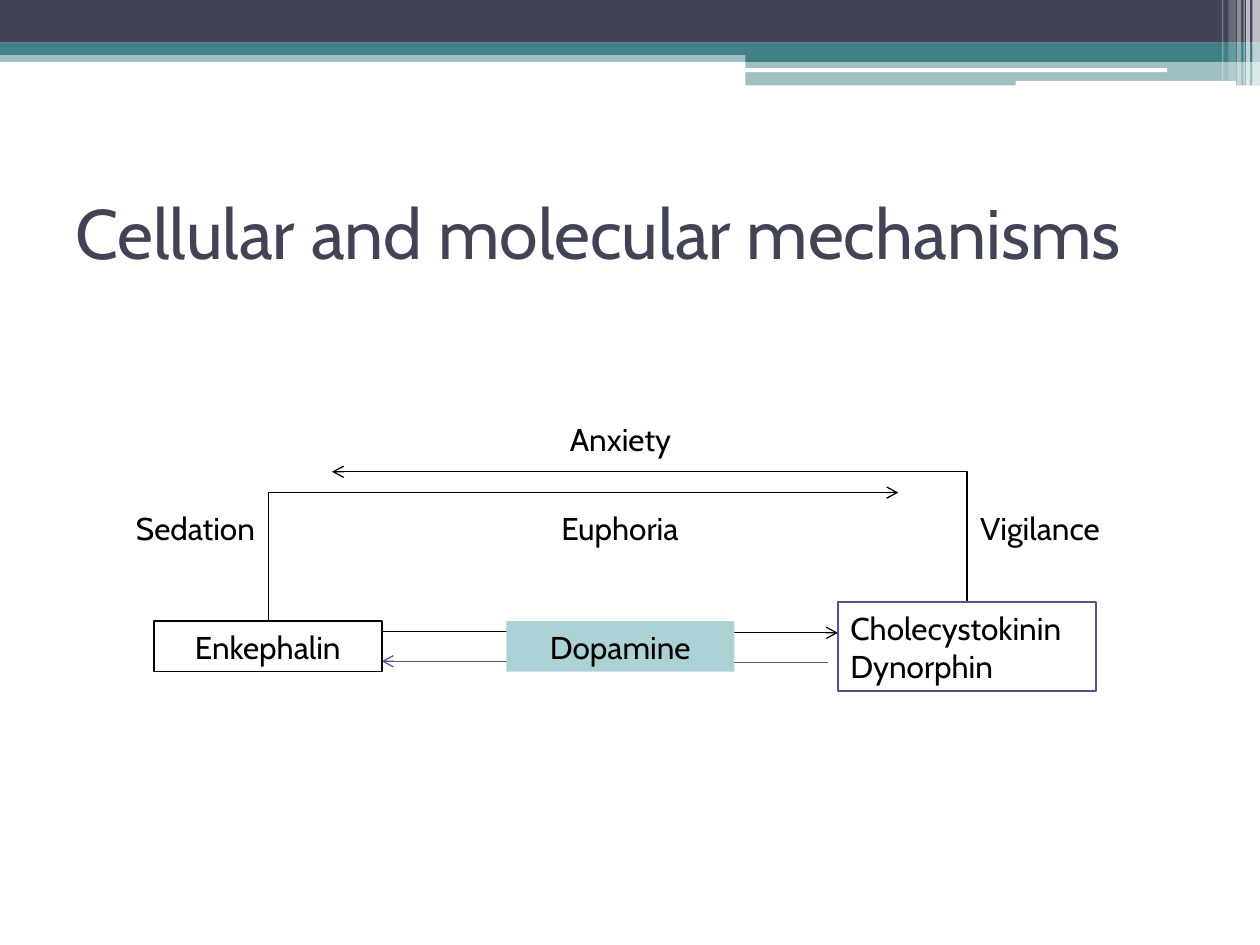
import pptx
import pptx.util
import pptx.dml.color
import pptx.enum.shapes
import pptx.enum.text
import pptx.oxml.ns
import lxml.etree

Pt = pptx.util.Pt
Color = pptx.dml.color.RGBColor.from_string
Shapes = pptx.enum.shapes.MSO_SHAPE
Align = pptx.enum.text.PP_ALIGN
Anchor = pptx.enum.text.MSO_ANCHOR
qn = pptx.oxml.ns.qn

theme = {
    "font": "Cabin", "title_size": 40, "body_size": 18,
    "navy": "424456", "teal": "438086", "white": "FFFFFF",
    "black": "000000", "violet": "53548A", "pale": "ADD2D6",
}

presentation = pptx.Presentation()
presentation.slide_width, presentation.slide_height = Pt(720), Pt(540)
slide = presentation.slides.add_slide(presentation.slide_layouts[6])


def add_block(kind, box, fill=None, opacity=100, line=None):
    shape = slide.shapes.add_shape(kind, *map(Pt, box))
    shape.shadow.inherit = False
    if fill:
        shape.fill.solid()
        shape.fill.fore_color.rgb = Color(theme[fill])
        if opacity < 100:
            color = shape.element.spPr.find(qn("a:solidFill"))[0]
            lxml.etree.SubElement(color, qn("a:alpha"), val=str(opacity * 1000))
    else:
        shape.fill.background()
    if line:
        shape.line.color.rgb = Color(theme[line])
        shape.line.width = Pt(1)
    else:
        shape.line.fill.background()
    return shape


def write_text(shape, lines, align, size="body_size", color="black"):
    frame = shape.text_frame
    frame.text = "\n".join(lines)
    settings = {"word_wrap": True, "vertical_anchor": Anchor.MIDDLE}
    for name, value in settings.items():
        setattr(frame, name, value)
    for paragraph in frame.paragraphs:
        paragraph.alignment = align
        font = paragraph.runs[0].font
        for name, value in {"name": theme["font"], "size": Pt(theme[size])}.items():
            setattr(font, name, value)
        font.color.rgb = Color(theme[color])


banner = [
    (Shapes.RECTANGLE, (0, 28.8, 720, 6.6), "teal", 50),
    (Shapes.RECTANGLE, (0, 0, 720, 24.4), "navy", 100),
    (Shapes.RECTANGLE, (0, 24.2, 720, 7.2), "teal", 100),
    (Shapes.RECTANGLE, (426, 28.2, 294, 7.2), "teal", 100),
    (Shapes.RECTANGLE, (426, 34.6, 294, 14.2), "teal", 50),
    (Shapes.ROUNDED_RECTANGLE, (425.7, 39, 241.2, 2.2), "white", 100),
    (Shapes.ROUNDED_RECTANGLE, (580.4, 46.2, 126, 2.9), "white", 100),
]
for kind, box, fill, opacity in banner:
    add_block(kind, box, fill, opacity)

stripes = [
    (715.7, 4.3, 49, 65), (712.1, 2.2, 49, 65), (710.6, 0.72, 49, 60),
    (707, 2.2, 49, 40), (702, 4.3, 46.1, 20), (698.4, 0.72, 46.1, 30),
]
for left, width, height, opacity in stripes:
    add_block(Shapes.RECTANGLE, (left, 0, width, height), "white", opacity)

title = slide.shapes.add_textbox(Pt(36), Pt(90), Pt(648), Pt(84.2))
write_text(title, ["Cellular and molecular mechanisms"], Align.LEFT, "title_size", "navy")

connectors = [
    ("bentConnector2", (296.64, 138.24, 370.08, 498.24), 90, "HV", "black"),
    ("bentConnector2", (334.08, 125.28, 408.24, 488.16), 270, "V", "black"),
    ("bentConnector3", (218.16, 360.9, 478.8, 361.6), 0, "", "black"),
    ("bentConnector3", (473.04, 378.6, 218.16, 377.9), 0, "", "violet"),
]
for geometry, ends, rotation, flips, color in connectors:
    connector = slide.shapes.add_connector(
        pptx.enum.shapes.MSO_CONNECTOR.ELBOW, *map(Pt, ends))
    connector.line.color.rgb = Color(theme[color])
    connector.line.width = Pt(0.75)
    properties = connector.element.spPr
    properties.find(qn("a:prstGeom")).set("prst", geometry)
    transform = properties.find(qn("a:xfrm"))
    if rotation:
        transform.set("rot", str(rotation * 60000))
    for axis in flips:
        transform.set("flip" + axis, "1")
    lxml.etree.SubElement(properties.find(qn("a:ln")), qn("a:tailEnd"), type="arrow")
    lxml.etree.SubElement(properties, qn("a:effectLst"))

substances = [
    (["Enkephalin"], (87.84, 355, 130.32, 28.8), None, "black", Align.CENTER),
    (["Cholecystokinin", "Dynorphin"], (478.8, 344, 147.6, 51), None, "violet", Align.LEFT),
    (["Dopamine"], (289.3, 355, 130.32, 28.8), "pale", None, Align.CENTER),
]
for lines, box, fill, line, align in substances:
    write_text(add_block(Shapes.RECTANGLE, box, fill, line=line), lines, align)

effects = [
    ("Sedation", 70.6, 287.3, 86, Align.LEFT),
    ("Vigilance", 553, 287.3, 113, Align.LEFT),
    ("Anxiety", 235.4, 236.2, 238.3, Align.CENTER),
    ("Euphoria", 308.9, 287.3, 90.7, Align.CENTER),
]
for label, left, top, width, align in effects:
    write_text(slide.shapes.add_textbox(Pt(left), Pt(top), Pt(width), Pt(28.8)), [label], align)

presentation.save("out.pptx")
